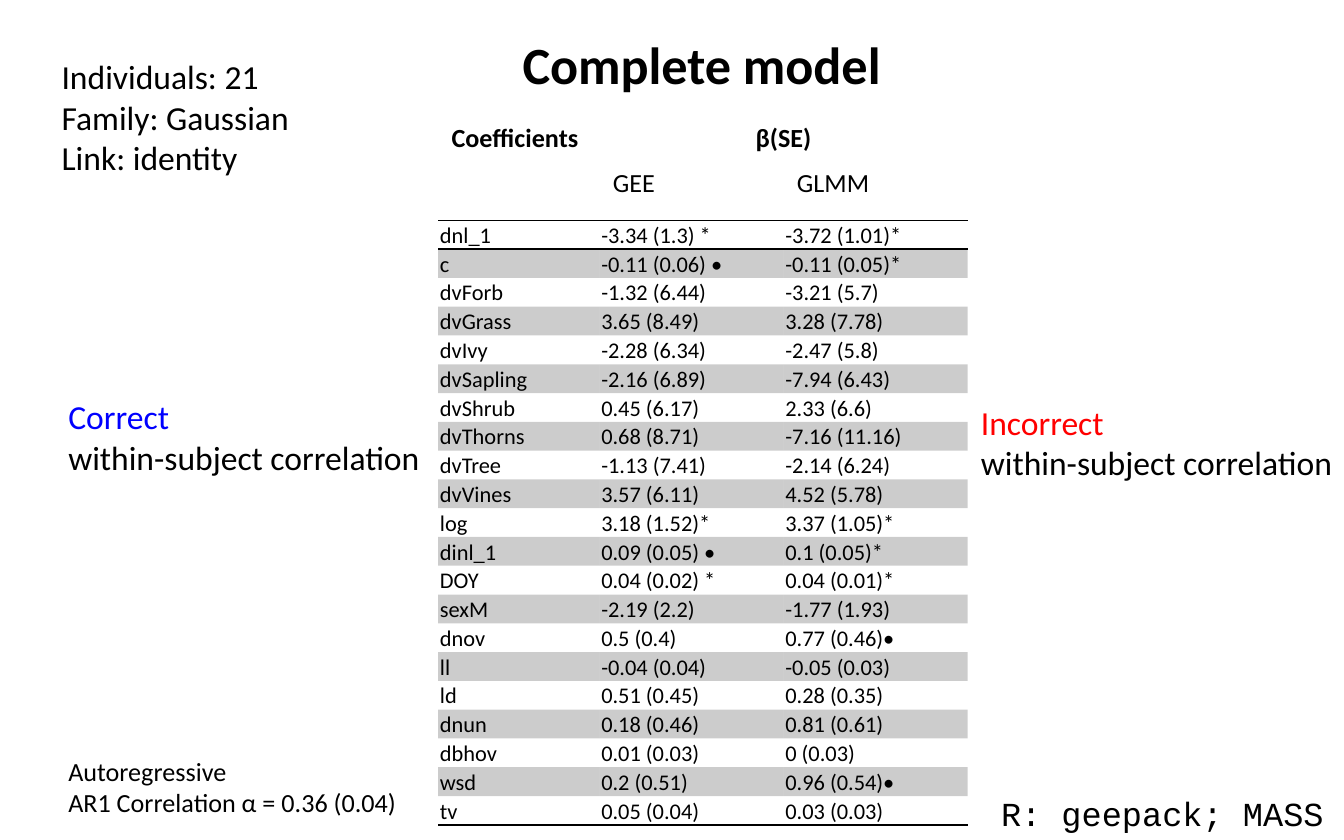
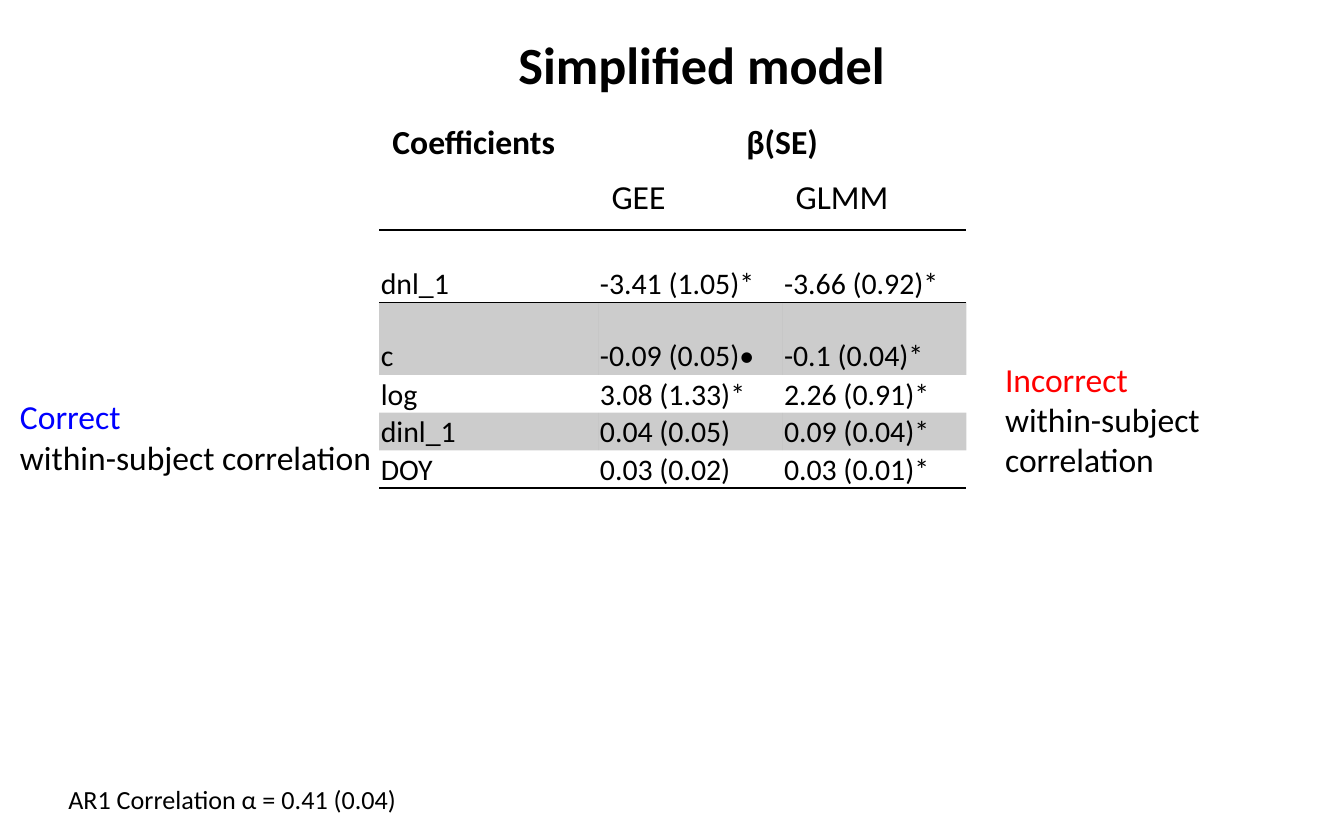
from lxml.etree import SubElement
from pptx import Presentation
from pptx.dml.color import RGBColor
from pptx.enum.text import MSO_ANCHOR, MSO_AUTO_SIZE, PP_ALIGN
from pptx.oxml import parse_xml
from pptx.oxml.ns import nsdecls, qn
from pptx.util import Inches, Pt

COLORS = {"text": "000000", "paper": "FFFFFF", "good": "0000FF", "bad": "FF0000"}
COLS, ROWS = 100, 62.5
NO_STYLE = "{2D5ABB26-0587-4C30-8999-92F81FD0307C}"
CORRELATION = "within-subject correlation"

COMPLETE = [
    ("dnl_1", "-3.34 (1.3) *", "-3.72 (1.01)*"),
    ("c", "-0.11 (0.06) •", "-0.11 (0.05)*"),
    ("dvForb", "-1.32 (6.44)", "-3.21 (5.7)"),
    ("dvGrass", "3.65 (8.49)", "3.28 (7.78)"),
    ("dvIvy", "-2.28 (6.34)", "-2.47 (5.8)"),
    ("dvSapling", "-2.16 (6.89)", "-7.94 (6.43)"),
    ("dvShrub", "0.45 (6.17)", "2.33 (6.6)"),
    ("dvThorns", "0.68 (8.71)", "-7.16 (11.16)"),
    ("dvTree", "-1.13 (7.41)", "-2.14 (6.24)"),
    ("dvVines", "3.57 (6.11)", "4.52 (5.78)"),
    ("log", "3.18 (1.52)*", "3.37 (1.05)*"),
    ("dinl_1", "0.09 (0.05) •", "0.1 (0.05)*"),
    ("DOY", "0.04 (0.02) *", "0.04 (0.01)*"),
    ("sexM", "-2.19 (2.2)", "-1.77 (1.93)"),
    ("dnov", "0.5 (0.4)", "0.77 (0.46)•"),
    ("ll", "-0.04 (0.04)", "-0.05 (0.03)"),
    ("ld", "0.51 (0.45)", "0.28 (0.35)"),
    ("dnun", "0.18 (0.46)", "0.81 (0.61)"),
    ("dbhov", "0.01 (0.03)", "0 (0.03)"),
    ("wsd", "0.2 (0.51)", "0.96 (0.54)•"),
    ("tv", "0.05 (0.04)", "0.03 (0.03)"),
]

SIMPLIFIED = [
    ("dnl_1", "-3.41 (1.05)*", "-3.66 (0.92)*"),
    ("c", "-0.09 (0.05)•", "-0.1 (0.04)*"),
    ("log", "3.08 (1.33)*", "2.26 (0.91)*"),
    ("dinl_1", "0.04 (0.05)", "0.09 (0.04)*"),
    ("DOY", "0.03 (0.02)", "0.03 (0.01)*"),
]


class Deck:
    def __init__(self):
        self.prs = Presentation()
        self.prs.slide_width, self.prs.slide_height = Inches(10), Inches(6.25)
        self.s = None

    def x(self, cols):
        return round(self.prs.slide_width * cols / COLS)

    def y(self, rows):
        return round(self.prs.slide_height * rows / ROWS)

    def font(self, p, size, color="text", bold=False, name="Calibri"):
        p.font.size, p.font.bold, p.font.name = Pt(size), bold, name
        p.font.color.rgb = RGBColor.from_string(COLORS[color])

    def box(self, left, top, width, height):
        sp = self.s.shapes.add_textbox(self.x(left), self.y(top), self.x(width), self.y(height))
        sp.text_frame.word_wrap = True
        return sp.text_frame

    def slide(self, title):
        self.s = self.prs.slides.add_slide(self.prs.slide_layouts[6])
        tf = self.box(7.2, -0.5, 90, 10.4)
        tf.vertical_anchor = MSO_ANCHOR.MIDDLE
        p = tf.paragraphs[0]
        p.text, p.alignment = title, PP_ALIGN.CENTER
        self.font(p, 28, bold=True)

    def note(self, area, lines, size=18, first="text", name="Calibri", wrap=True):
        tf = self.box(*area)
        tf.word_wrap, tf.auto_size = wrap, MSO_AUTO_SIZE.SHAPE_TO_FIT_TEXT
        for i, line in enumerate(lines):
            p = tf.paragraphs[0] if i == 0 else tf.add_paragraph()
            p.text = line
            self.font(p, size, "text" if i else first, name=name)

    def fill(self, cell, color, alpha=None):
        cell.fill.solid()
        cell.fill.fore_color.rgb = RGBColor.from_string(COLORS[color])
        if alpha:
            clr = cell._tc.tcPr.find(".//" + qn("a:srgbClr"))
            SubElement(clr, qn("a:alpha"), val=str(alpha * 1000))

    def rule_below(self, cell):
        ln = parse_xml(
            f'<a:lnB {nsdecls("a")} w="{Pt(1)}"><a:solidFill>'
            f'<a:srgbClr val="{COLORS["text"]}"/></a:solidFill></a:lnB>'
        )
        cell._tc.get_or_add_tcPr().insert(0, ln)

    def header(self, tbl, size):
        titles = (("Coefficients", "β(SE)", ""), ("", "GEE", "GLMM"))
        for r, row in enumerate(titles):
            for c, text in enumerate(row):
                cell = tbl.cell(r, c)
                self.fill(cell, "paper")
                p = cell.text_frame.paragraphs[0]
                p.text = text
                self.font(p, size, bold=r == 0)
                if r == 1 or c == 0:
                    self.rule_below(cell)
        tbl.cell(0, 1).text_frame.paragraphs[0].alignment = PP_ALIGN.CENTER
        tbl.cell(0, 0).merge(tbl.cell(1, 0))
        tbl.cell(0, 1).merge(tbl.cell(0, 2))

    def table(self, left, widths, heights, data, head_size, size):
        frame = self.s.shapes.add_table(
            len(heights), len(widths), self.x(left), self.y(8.6),
            self.x(sum(widths)), self.y(sum(heights)))
        tbl = frame.table
        tbl.first_row = tbl.horz_banding = False
        tbl._tbl.tblPr.find(qn("a:tableStyleId")).text = NO_STYLE
        for col, width in zip(tbl.columns, widths):
            col.width = self.x(width)
        for row, height in zip(tbl.rows, heights):
            row.height = self.y(height)
        self.header(tbl, head_size)
        for r, values in enumerate(data):
            for c, text in enumerate(values):
                cell = tbl.cell(r + 2, c)
                cell.vertical_anchor = MSO_ANCHOR.BOTTOM
                cell.margin_left = cell.margin_right = cell.margin_top = Pt(1)
                cell.margin_bottom = 0
                p = cell.text_frame.paragraphs[0]
                p.text = text
                self.font(p, size)
                if r % 2:
                    self.fill(cell, "text", alpha=20)
                else:
                    cell.fill.background()
                if r in (0, len(data) - 1):
                    self.rule_below(cell)


def main():
    deck = Deck()

    deck.slide("Complete model")
    deck.table(32.6, [12, 13.7, 13.7], [3.4, 4.4] + [2.1] * len(COMPLETE), COMPLETE, 14, 12)
    deck.note((4.1, 55.7, 27, 5.7), ["Autoregressive", "AR1 Correlation α = 0.36 (0.04)"],
              size=14, wrap=False)
    deck.note((4.1, 29, 28.5, 7.1), ["Correct", CORRELATION], first="good", wrap=False)
    deck.note((72, 29.4, 28.5, 7.1), ["Incorrect", CORRELATION], first="bad", wrap=False)
    deck.note((73.5, 58.5, 27, 4), ["R: geepack; MASS"], name="Courier New")
    deck.note((3.6, 3.7, 24.8, 10.1), ["Individuals: 21", "Family: Gaussian", "Link: identity"])

    deck.slide("Simplified model")
    deck.table(28.2, [16.3, 13.7, 13.7], [4.1, 4.4] + [5.4] * 2 + [2.8] * 3, SIMPLIFIED, 18, 16)
    deck.note((4.1, 57.8, 27, 3.4), ["AR1 Correlation α = 0.41 (0.04)"], size=14, wrap=False)
    deck.note((0.5, 29, 28.5, 7.1), ["Correct", CORRELATION], first="good", wrap=False)
    deck.note((73.8, 26.2, 26.2, 10.1), ["Incorrect", CORRELATION], first="bad")

    deck.prs.save("out.pptx")


if __name__ == "__main__":
    main()
